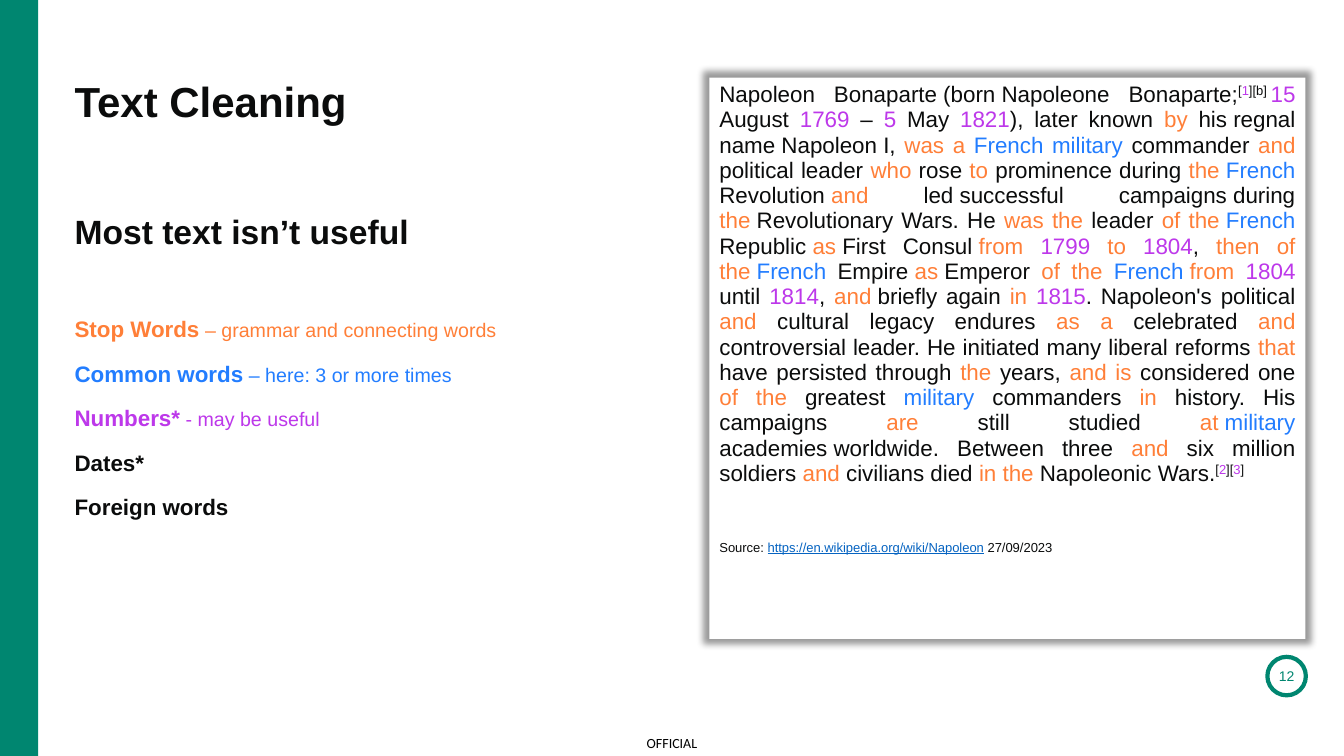
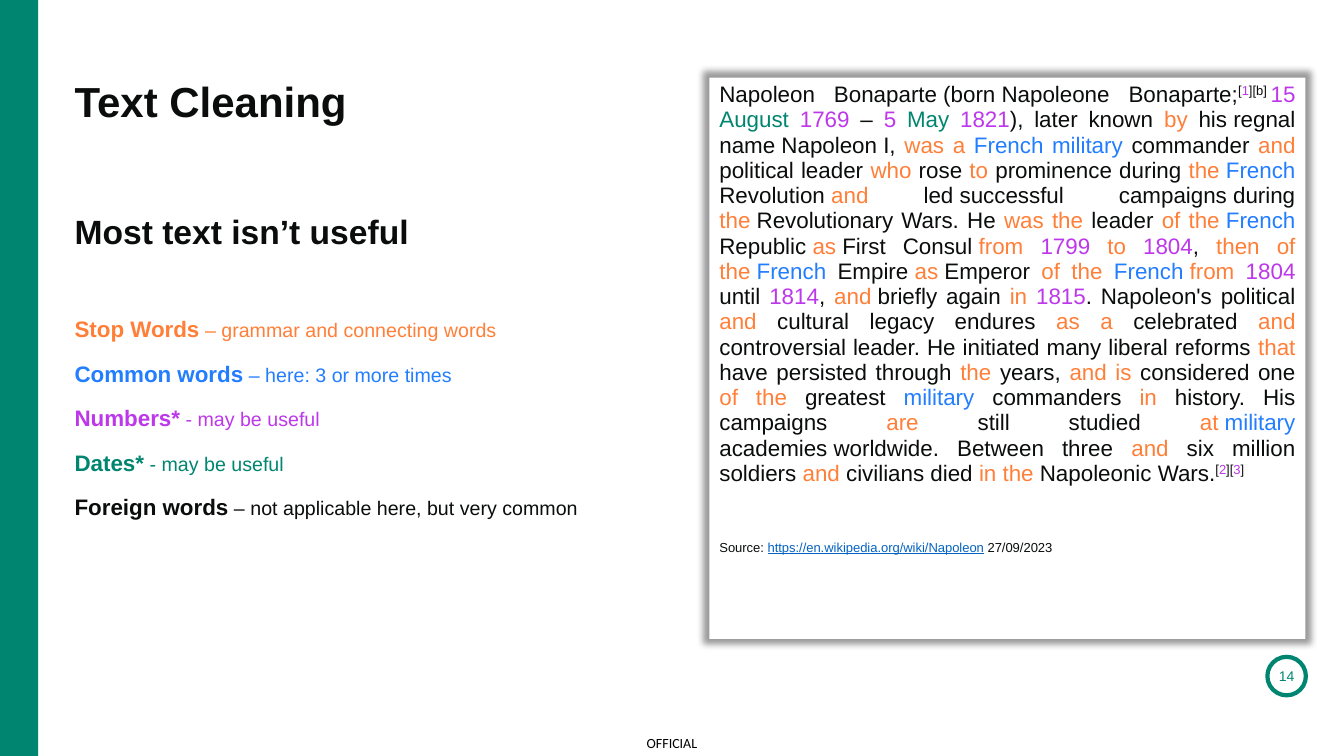
from dataclasses import dataclass
from itertools import groupby
from typing import NamedTuple

from lxml import etree
from pptx import Presentation
from pptx.dml.color import RGBColor
from pptx.enum import shapes, text
from pptx.oxml import ns
from pptx.util import Pt

HUES = {
    "ink": "0B0C0C",
    "black": "000000",
    "white": "FFFFFF",
    "green": "008670",
    "stop": "FF7F38",
    "common": "227DFF",
    "number": "BD38EA",
    "date": "008670",
    "link": "0563C1",
}
STOPS = set("a and are as at by from in is of that the then to was who".split())
COMMON = {"French", "military"}
MONTHS = {"August", "May"}

LEFT, WIDE = 53.3, 426.2
# A tilde stands for a no-break space.
BIO = (
    ("Napoleon Bonaparte~(born~Napoleone Bonaparte;", False),
    ("[1][b]~", True),
    ("15 August 1769 – 5 May 1821), later known by his~regnal name~Napoleon~I, "
     "was a French military commander and political leader who rose to prominence "
     "during the~French Revolution~and led~successful campaigns~during the~"
     "Revolutionary Wars. He was the leader of the~French Republic~as~First "
     "Consul~from 1799 to 1804, then of the~French Empire~as~Emperor of the "
     "French~from 1804 until 1814, and~briefly again in 1815. Napoleon's political "
     "and cultural legacy endures as a celebrated and controversial leader. He "
     "initiated many liberal reforms that have persisted through the years, and is "
     "considered one of the greatest military commanders in history. His campaigns "
     "are still studied at~military academies~worldwide. Between three and six "
     "million soldiers and civilians~died~in the~Napoleonic Wars.", False),
    ("[2][3]", True),
)


class Run(NamedTuple):
    text: str
    hue: str = "ink"
    size: float = 16
    bold: bool = False
    line: bool = False
    sup: bool = False


class Box(NamedTuple):
    x: float
    y: float
    w: float
    h: float

    def pts(self) -> tuple:
        return tuple(Pt(v) for v in self)


@dataclass
class Term:
    name: str
    hue: str
    note: str = ""

    def runs(self) -> list[Run]:
        runs = [Run(self.name, self.hue, bold=True)]
        if self.note:
            runs.append(Run(" " + self.note, self.hue, 14))
        return runs


@dataclass
class Page:
    number: str
    dates: bool
    tail: tuple[Term, ...]


TERMS = (
    Term("Stop Words", "stop", "– grammar and connecting words"),
    Term("Common words", "common", "– here: 3 or more times"),
    Term("Numbers*", "number", "- may be useful"),
)
PAGES = (
    Page("12", False, (Term("Dates*", "ink"), Term("Foreign words", "ink"))),
    Page("14", True, (
        Term("Dates*", "date", "- may be useful"),
        Term("Foreign words", "ink", "– not applicable here, but very common"),
    )),
)


def rgb(hue: str) -> RGBColor:
    return RGBColor.from_string(HUES[hue])


def kind(word: str, dates: bool) -> str:
    """Return the colour name of a word's class."""
    if word.isdigit():
        return "number"
    if word in STOPS:
        return "stop"
    if word in COMMON:
        return "common"
    return "date" if dates and word in MONTHS else "ink"


def tint(dates: bool) -> list[Run]:
    """Split the passage into runs coloured by word class."""
    runs = []
    for part, sup in BIO:
        hue = "ink"
        pairs = []
        for _, chars in groupby(part.replace("~", chr(160)), str.isalnum):
            word = "".join(chars)
            if not word.isspace():
                hue = kind(word, dates)
            pairs.append((hue, word))
        for shade, group in groupby(pairs, lambda pair: pair[0]):
            runs.append(Run("".join(word for _, word in group), shade, sup=sup))
    return runs


def write(shape, paras: list[list[Run]], *, font: str = "Arial", align=None,
          anchor=text.MSO_ANCHOR.TOP, pitch: float = 1.0,
          gap: float = 0, inset: bool = False) -> None:
    frame = shape.text_frame
    frame.word_wrap = True
    frame.vertical_anchor = anchor
    if not inset:
        frame.margin_left = frame.margin_right = Pt(0)
        frame.margin_top = frame.margin_bottom = Pt(0)
    for i, runs in enumerate(paras):
        para = frame.paragraphs[0] if i == 0 else frame.add_paragraph()
        para.alignment = align or text.PP_ALIGN.LEFT
        para.line_spacing = pitch
        para.space_before = Pt(gap if i else 0)
        for item in runs:
            run = para.add_run()
            run.text = item.text
            face = run.font
            face.name, face.size, face.bold = font, Pt(item.size), item.bold
            face.color.rgb = rgb(item.hue)
            if item.line:
                face.underline = True
            if item.sup:
                face._element.set("baseline", "30000")


def label(slide, box: Box, paras: list[list[Run]], **form) -> None:
    write(slide.shapes.add_textbox(*box.pts()), paras, **form)


def plain(slide, box: Box, form=shapes.MSO_SHAPE.RECTANGLE, fill: str = ""):
    """Add a shape without outline or shadow."""
    shape = slide.shapes.add_shape(form, *box.pts())
    shape.shadow.inherit = False
    if fill:
        shape.fill.solid()
        shape.fill.fore_color.rgb = rgb(fill)
    else:
        shape.fill.background()
    shape.line.fill.background()
    return shape


def glow(shape) -> None:
    """Add a soft, slightly enlarged shadow."""
    effects = shape._element.spPr.find(ns.qn("a:effectLst"))
    shade = etree.SubElement(effects, ns.qn("a:outerShdw"), blurRad=str(Pt(5)),
                             sx="102000", sy="102000", algn="ctr", rotWithShape="0")
    color = etree.SubElement(shade, ns.qn("a:srgbClr"), val=HUES["black"])
    etree.SubElement(color, ns.qn("a:alpha"), val="40000")


def base(slide, number: str) -> None:
    """Draw the side band, footer and page badge."""
    mid = {"align": text.PP_ALIGN.CENTER, "anchor": text.MSO_ANCHOR.MIDDLE}
    plain(slide, Box(0, 0, 27.2, 540), fill="green")
    label(slide, Box(451.2, 519.2, 57.6, 20.8), [[Run("OFFICIAL", "black", 10)]],
          font="Calibri", pitch=1.14, **mid)
    badge = plain(slide, Box(905.3, 469.2, 27.5, 27.5), shapes.MSO_SHAPE.OVAL)
    badge.line.color.rgb = rgb("green")
    badge.line.width = Pt(3)
    write(badge, [[Run(number, "green", 10)]], **mid)


def passage(slide, dates: bool) -> None:
    card = plain(slide, Box(506.8, 55.4, 425.6, 401), fill="white")
    glow(card)
    source = [
        Run("Source: ", sup=True),
        Run("https://en.wikipedia.org/wiki/Napoleon", "link", line=True, sup=True),
        Run(" 27/09/2023", sup=True),
    ]
    write(card, [tint(dates), source], align=text.PP_ALIGN.JUSTIFY,
          pitch=0.94, gap=37.3, inset=True)


def build(deck, page: Page) -> None:
    slide = deck.slides.add_slide(deck.slide_layouts[6])
    base(slide, page.number)
    passage(slide, page.dates)
    label(slide, Box(LEFT, 222.5, WIDE, 263.5),
          [term.runs() for term in TERMS + page.tail], pitch=1.14, gap=10)
    label(slide, Box(LEFT, 146.9, WIDE, 29.5),
          [[Run("Most text isn’t useful", size=24, bold=True)]], pitch=1.14)
    label(slide, Box(LEFT, 54, WIDE, 36),
          [[Run("Text Cleaning", size=30, bold=True)]])


def main() -> None:
    deck = Presentation()
    deck.slide_width, deck.slide_height = Pt(960), Pt(540)
    for page in PAGES:
        build(deck, page)
    deck.save("out.pptx")


if __name__ == "__main__":
    main()
